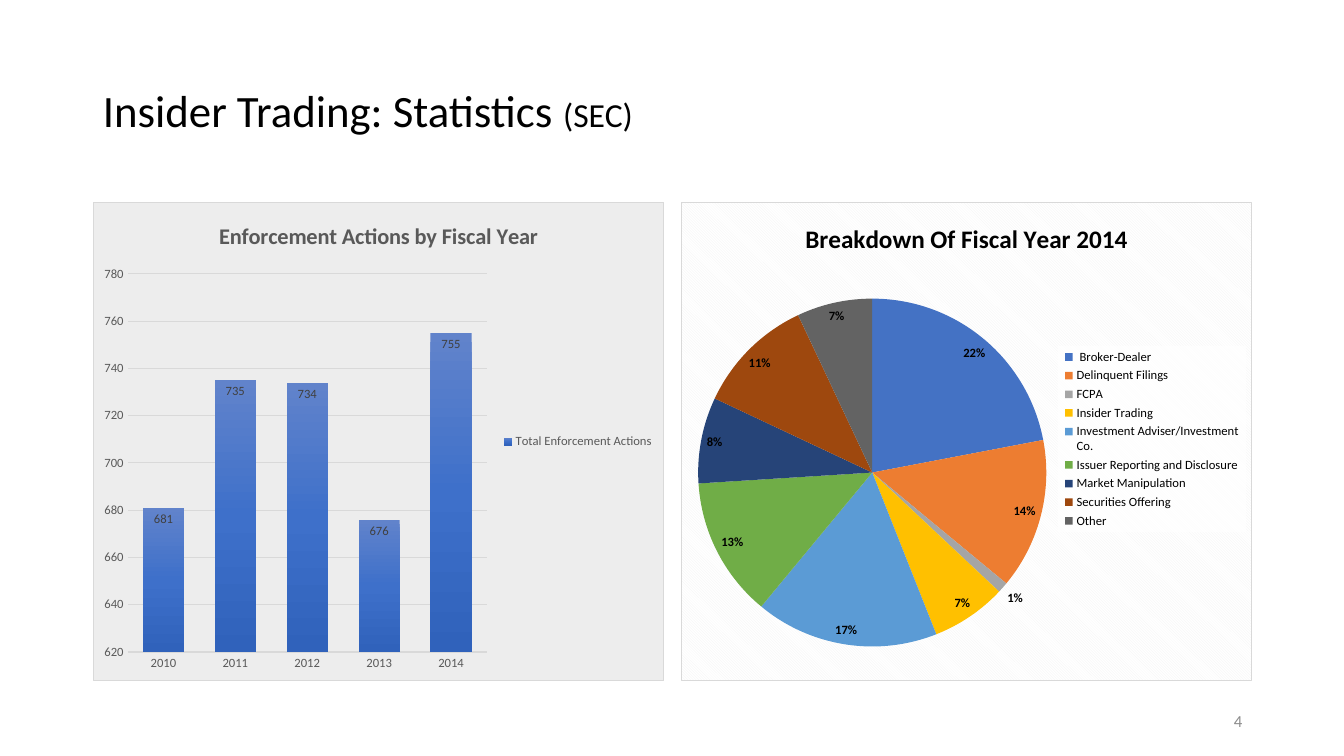
"""Build the insider trading statistics slide with its two charts."""
import pptx
import pptx.chart.data
import pptx.dml.color
import pptx.enum.chart
import pptx.enum.dml
import pptx.enum.text
import pptx.oxml
import pptx.oxml.ns
import pptx.util

Inches, Pt, qn = pptx.util.Inches, pptx.util.Pt, pptx.oxml.ns.qn
NAMESPACES = pptx.oxml.ns.nsdecls("a", "c")
FONT = "Calibri"
BLACK, GREY, PALE = "000000", "595959", "D9D9D9"
ACTIONS_BY_YEAR = {"2010": 681, "2011": 735, "2012": 734, "2013": 676, "2014": 755}
BREAKDOWN = (
    (" Broker-Dealer", 22, "4472C4"),
    ("Delinquent Filings", 14, "ED7D31"),
    ("FCPA", 1, "A5A5A5"),
    ("Insider Trading", 7, "FFC000"),
    ("Investment Adviser/Investment Co.", 17, "5B9BD5"),
    ("Issuer Reporting and Disclosure", 13, "70AD47"),
    ("Market Manipulation", 8, "264478"),
    ("Securities Offering", 11, "9E480E"),
    ("Other", 7, "636363"),
)


def rgb(value):
    """Turn a hex string into a colour."""
    return pptx.dml.color.RGBColor.from_string(value)


def style(font, size, color, bold=False):
    """Apply the slide font with a size, colour and weight."""
    font.name, font.size, font.bold = FONT, Pt(size), bold
    font.color.rgb = rgb(color)


def solid(color, extra=""):
    """Return the XML of a solid fill."""
    return f'<a:solidFill><a:srgbClr val="{color}">{extra}</a:srgbClr></a:solidFill>'


def shape_properties(content):
    """Return a chart formatting element holding the given XML."""
    return pptx.oxml.parse_xml(f"<c:spPr {NAMESPACES}>{content}</c:spPr>")


def place_inside(region, index, x, y, w, h, target=""):
    """Fix a chart region at fractions of the chart area."""
    for layout in region.findall(qn("c:layout")):
        region.remove(layout)
    edges = '<c:xMode val="edge"/><c:yMode val="edge"/>'
    numbers = "".join(f'<c:{key} val="{value}"/>' for key, value in zip("xywh", (x, y, w, h)))
    region.insert(index, pptx.oxml.parse_xml(
        f"<c:layout {NAMESPACES}><c:manualLayout>{target}{edges}{numbers}"
        "</c:manualLayout></c:layout>"))


def add_panel(slide, box, kind, values, name, heading, heading_font, legend_color, fill, plot_box):
    """Add a framed chart with heading, legend and fixed plot area."""
    data = pptx.chart.data.CategoryChartData()
    data.categories = list(values)
    data.add_series(name, list(values.values()))
    chart = slide.shapes.add_chart(kind, *map(Inches, box), data).chart
    style(chart.font, 10, BLACK)
    chart.has_title = True
    chart.chart_title.include_in_layout = False
    title = chart.chart_title.text_frame
    title.text = heading
    style(title.paragraphs[0].runs[0].font, *heading_font, bold=True)
    chart.has_legend = True
    chart.legend.position = pptx.enum.chart.XL_LEGEND_POSITION.RIGHT
    chart.legend.include_in_layout = False
    style(chart.legend.font, 9, legend_color)
    chart_root = chart.element.find(qn("c:chart"))
    chart_root.addnext(shape_properties(f'{fill}<a:ln w="{Pt(0.75)}">{solid(PALE)}</a:ln>'))
    place_inside(chart_root.find(qn("c:plotArea")), 0, *plot_box, '<c:layoutTarget val="inner"/>')
    return chart


def label_values(plot, color, position, bold=False):
    """Show styled data labels on a plot."""
    plot.has_data_labels = True
    labels = plot.data_labels
    style(labels.font, 9, color, bold)
    labels.position = position
    return labels


def add_actions_chart(slide, box):
    """Add the column chart of enforcement actions by year."""
    chart = add_panel(
        slide, box, pptx.enum.chart.XL_CHART_TYPE.COLUMN_CLUSTERED, ACTIONS_BY_YEAR,
        "Total Enforcement Actions", "Enforcement Actions by Fiscal Year", (16, GREY),
        GREY, solid("EDEDED"), (0.06, 0.15, 0.63, 0.79))
    plot = chart.plots[0]
    plot.gap_width, plot.overlap, plot.vary_by_categories = 75, 40, False
    labels = label_values(plot, "404040", pptx.enum.chart.XL_LABEL_POSITION.INSIDE_END)
    labels.show_value = True
    columns = plot.series[0].format.fill
    columns.gradient()
    columns.gradient_angle = 270
    stops = "".join(
        f'<a:gs pos="{pos}"><a:srgbClr val="{color}"/></a:gs>'
        for pos, color in ((0, "6183CB"), (50000, "3E70CA"), (100000, "3062BB")))
    gradient = next(chart.element.iter(qn("a:gradFill")))
    gradient.replace(gradient.find(qn("a:gsLst")), pptx.oxml.parse_xml(
        f"<a:gsLst {NAMESPACES}>{stops}</a:gsLst>"))
    for axis in (chart.category_axis, chart.value_axis):
        axis.major_tick_mark = axis.minor_tick_mark = pptx.enum.chart.XL_TICK_MARK.NONE
        style(axis.tick_labels.font, 9, GREY)
    years, counts = chart.category_axis, chart.value_axis
    years.format.line.color.rgb = rgb(PALE)
    years.format.line.width = Pt(1)
    counts.format.line.fill.background()
    counts.minimum_scale, counts.maximum_scale, counts.major_unit = 620, 780, 20
    counts.major_gridlines.format.line.color.rgb = rgb(PALE)
    counts.major_gridlines.format.line.width = Pt(0.75)


def add_breakdown_chart(slide, box):
    """Add the pie chart of the 2014 breakdown."""
    pattern = ('<a:pattFill prst="dkDnDiag"><a:fgClr><a:srgbClr val="F2F2F2"/></a:fgClr>'
               '<a:bgClr><a:srgbClr val="FFFFFF"/></a:bgClr></a:pattFill>')
    chart = add_panel(
        slide, box, pptx.enum.chart.XL_CHART_TYPE.PIE,
        {category: share for category, share, _ in BREAKDOWN}, "Series 1",
        "Breakdown Of Fiscal Year 2014", (18, BLACK), BLACK, pattern, (0.03, 0.2, 0.61, 0.73))
    plot = chart.plots[0]
    plot.vary_by_categories = True
    labels = label_values(plot, BLACK, pptx.enum.chart.XL_LABEL_POSITION.BEST_FIT, True)
    labels.show_value, labels.show_percentage = False, True
    labels.number_format, labels.number_format_is_linked = "0%", False
    for index, (_, _, color) in enumerate(BREAKDOWN):
        wedge = plot.series[0].points[index].format
        wedge.fill.solid()
        wedge.fill.fore_color.rgb = rgb(color)
        wedge.line.fill.background()
    legend = chart.element.find(qn("c:chart")).find(qn("c:legend"))
    place_inside(legend, 1, 0.66, 0.3, 0.33, 0.39)
    legend.find(qn("c:txPr")).addprevious(
        shape_properties(solid("FFFFFF", '<a:alpha val="78000"/>')))


def add_heading(slide, box):
    """Place and format the slide title."""
    title = slide.shapes.title
    title.left, title.top, title.width, title.height = map(Inches, box)
    frame = title.text_frame
    frame.auto_size = pptx.enum.text.MSO_AUTO_SIZE.NONE
    frame.vertical_anchor = pptx.enum.text.MSO_ANCHOR.MIDDLE
    paragraph = frame.paragraphs[0]
    paragraph.alignment = pptx.enum.text.PP_ALIGN.LEFT
    paragraph.line_spacing = 0.9
    for text, size in (("Insider Trading: Statistics ", 32), ("(SEC)", 24)):
        run = paragraph.add_run()
        run.text = text
        style(run.font, size, BLACK)


def add_page_number(slide, box):
    """Place the page number at the bottom right."""
    frame = slide.shapes.add_textbox(*map(Inches, box)).text_frame
    frame.word_wrap = True
    frame.vertical_anchor = pptx.enum.text.MSO_ANCHOR.MIDDLE
    frame.text = "4"
    frame.paragraphs[0].alignment = pptx.enum.text.PP_ALIGN.RIGHT
    style(frame.paragraphs[0].runs[0].font, 12, "8C8C8C")


def main():
    """Build and save the presentation."""
    deck = pptx.Presentation()
    deck.slide_width, deck.slide_height = Inches(13.33), Inches(7.5)
    slide = deck.slides.add_slide(deck.slide_layouts[5])
    add_heading(slide, (0.92, 0.4, 11.5, 1.45))
    add_breakdown_chart(slide, (6.75, 2, 5.67, 4.76))
    add_actions_chart(slide, (0.92, 2, 5.67, 4.76))
    add_page_number(slide, (9.42, 6.95, 3, 0.4))
    deck.save("out.pptx")


if __name__ == "__main__":
    main()
